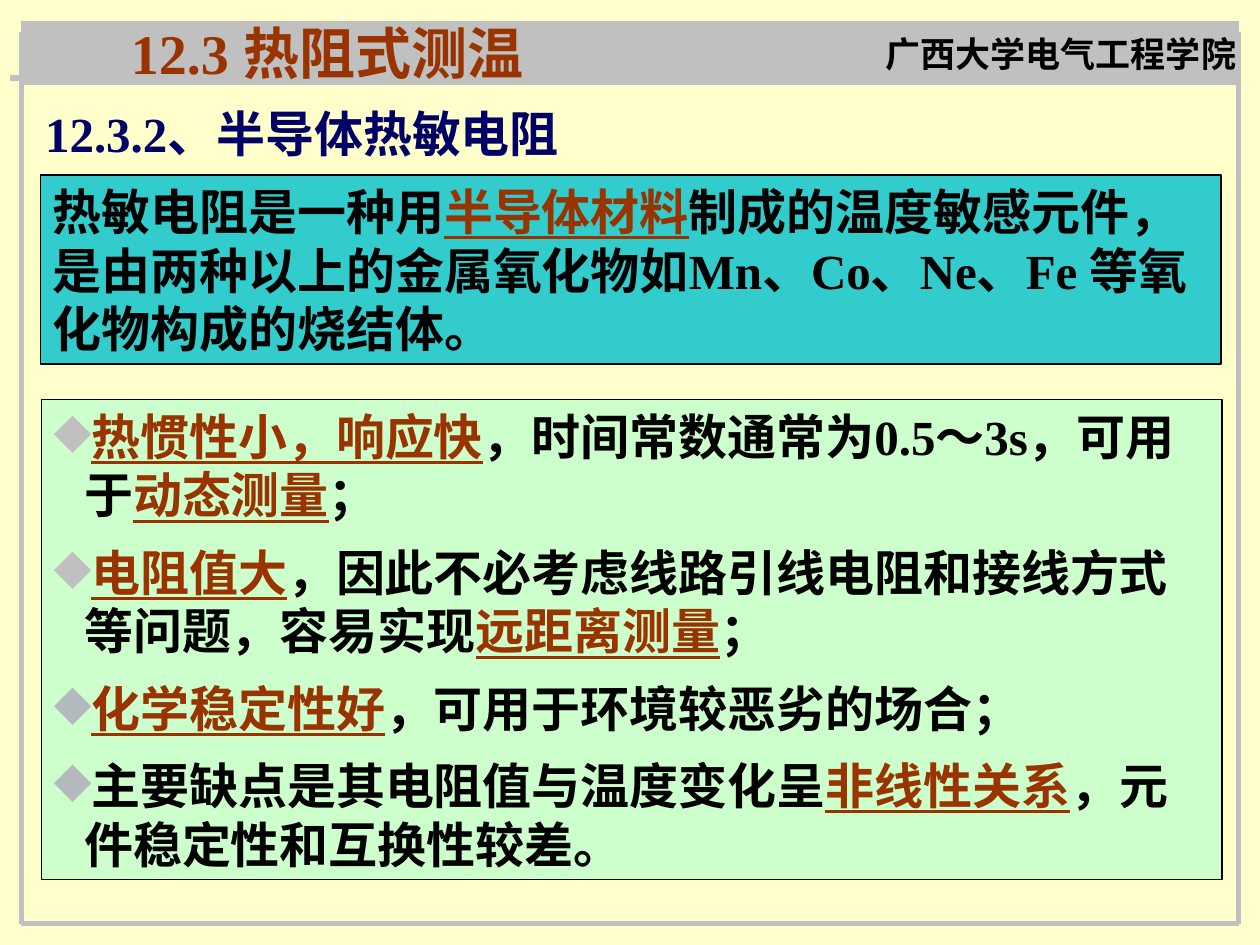
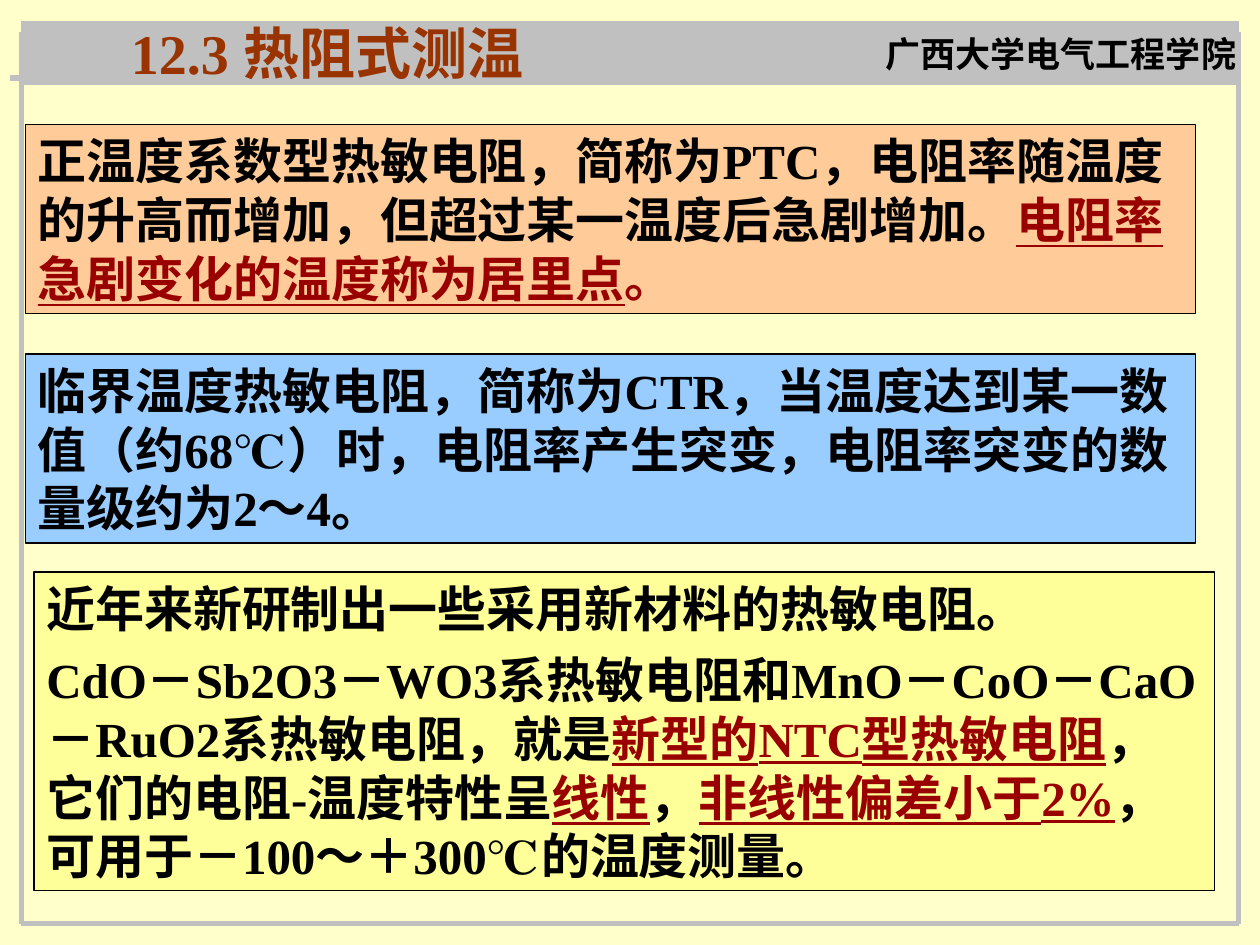
from collections import namedtuple
from dataclasses import dataclass

from pptx import Presentation
from pptx import util as u
from pptx.dml import color
from pptx.enum import shapes, text
from pptx.oxml import ns, xmlchemy

# Slide grid: 100 columns by 75 rows of square cells
COLUMNS, ROWS = 100, 75
CELL = u.Inches(0.1)

Box = namedtuple("Box", "left top width height")
PAGE = Box(0, 0, COLUMNS, ROWS)
FRAME = Box(1.7, 1.7, 96.6, 71.6)


@dataclass(frozen=True)
class Theme:
    font: str = "Times New Roman"
    paper: str = "FFFFCC"
    grey: str = "C0C0C0"
    cool_grey: str = "B4B9BE"
    ink: str = "000000"
    navy: str = "000066"
    rust: str = "993300"
    red: str = "990000"
    teal: str = "33CCCC"
    mint: str = "CCFFCC"
    peach: str = "FFCC99"
    sky: str = "99CCFF"
    lemon: str = "FFFF99"
    title_size: int = 32
    body_size: int = 28
    school_size: int = 20
    rule: float = 3
    outline: float = 0.75


THEME = Theme()

# Run styles: colour, size, underline
STYLES = {
    "body": (THEME.ink, THEME.body_size, False),
    "rust_key": (THEME.rust, THEME.body_size, True),
    "red_key": (THEME.red, THEME.body_size, True),
    "red": (THEME.red, THEME.body_size, False),
    "heading": (THEME.navy, THEME.body_size, False),
    "title": (THEME.rust, THEME.title_size, False),
    "school": (THEME.ink, THEME.school_size, False),
}


def rgb(value):
    return color.RGBColor.from_string(value)


def cells(*counts):
    return [u.Emu(round(count * CELL)) for count in counts]


def within(parent, left, top, width, height):
    """Box given in cells from the top left corner of its parent."""
    return Box(parent.left + left, parent.top + top, width, height)


def add_bullet(paragraph, bullet_colour):
    props = paragraph._p.get_or_add_pPr()
    hang = cells(2.4)[0]
    props.set("marL", str(hang))
    props.set("indent", str(-hang))
    tint = xmlchemy.OxmlElement("a:buClr")
    tint.append(xmlchemy.OxmlElement("a:srgbClr"))
    tint[0].set("val", bullet_colour)
    mark = xmlchemy.OxmlElement("a:buChar")
    mark.set("char", "◆")
    props.extend([tint, mark])


def write(frame, paragraphs, gap=0, bullets=(), wrap=True,
          anchor=text.MSO_ANCHOR.TOP):
    """Fill a text frame; each paragraph is a list of (wording, style)."""
    layout = {
        "word_wrap": wrap, "vertical_anchor": anchor,
        "auto_size": text.MSO_AUTO_SIZE.SHAPE_TO_FIT_TEXT,
    }
    for name, value in layout.items():
        setattr(frame, name, value)
    for index, runs in enumerate(paragraphs):
        paragraph = frame.add_paragraph() if index else frame.paragraphs[0]
        paragraph.alignment = text.PP_ALIGN.LEFT
        if index:
            paragraph.space_before = u.Pt(gap)
        if bullets:
            add_bullet(paragraph, bullets[index])
        for wording, style in runs:
            run = paragraph.add_run()
            run.text = wording
            tint, size, underline = STYLES[style]
            run.font.color.rgb = rgb(tint)
            look = {"name": THEME.font, "size": u.Pt(size),
                    "bold": True, "underline": underline}
            for name, value in look.items():
                setattr(run.font, name, value)


def add_label(slide, box, wording, style, wrap=True):
    label = slide.shapes.add_textbox(*cells(*box))
    write(label.text_frame, [[(wording, style)]], wrap=wrap)


def add_block(slide, box, fill, line=THEME.ink):
    block = slide.shapes.add_shape(shapes.MSO_SHAPE.RECTANGLE, *cells(*box))
    block.shadow.inherit = False
    block.fill.solid()
    block.fill.fore_color.rgb = rgb(fill)
    block.line.color.rgb = rgb(line)
    block.line.width = u.Pt(THEME.outline)
    return block


def add_panel(slide, box, fill, paragraphs, **options):
    write(add_block(slide, box, fill).text_frame, paragraphs, **options)


def add_rule(slide, x1, y1, x2, y2):
    rule = slide.shapes.add_connector(
        shapes.MSO_CONNECTOR.STRAIGHT, *cells(x1, y1, x2, y2))
    rule.line.color.rgb = rgb(THEME.grey)
    rule.line.width = u.Pt(THEME.rule)
    rule._element.find(ns.qn("p:spPr")).append(
        xmlchemy.OxmlElement("a:effectLst"))


def draw_frame(slide, box):
    """Header band and the rules around the slide."""
    right, bottom = box.left + box.width, box.top + box.height
    side_top, band_rule = box.top + 0.8, box.top + 4.5
    add_rule(slide, box.left - 0.9, band_rule, right - 0.8, band_rule)
    add_block(slide, within(box, 0, 0, box.width, 5), THEME.grey, THEME.grey)
    for side in (box.left, right):
        add_rule(slide, side, side_top, side, bottom)
    add_rule(slide, box.left, bottom, right, bottom)


def draw_header(slide, box):
    """Section title on the left, school name on the right."""
    add_label(slide, within(box, 69.3, 2.1, 30.7, 4.4),
              "广西大学电气工程学院", "school")
    add_label(slide, within(box, 9.4, 1, 34.2, 6.4),
              "12.3 热阻式测温", "title", wrap=False)


def draw_thermistor(slide, box):
    """Definition of the thermistor and its properties."""
    add_label(slide, within(box, 2.6, 7.7, 56.7, 5.7),
              "12.3.2、半导体热敏电阻", "heading")
    add_panel(slide, within(box, 3.2, 13.9, 93.7, 15), THEME.teal, [[
        ("热敏电阻是一种用", "body"),
        ("半导体材料", "rust_key"),
        ("制成的温度敏感元件，是由两种以上的金属氧化物如Mn、Co、Ne、"
         "Fe 等氧化物构成的烧结体。", "body"),
    ]])
    properties = [
        [("热惯性小，响应快", "rust_key"),
         ("，时间常数通常为0.5～3s，可用于", "body"),
         ("动态测量", "rust_key"), ("；", "body")],
        [("电阻值大", "rust_key"),
         ("，因此不必考虑线路引线电阻和接线方式等问题，容易实现", "body"),
         ("远距离测量", "rust_key"), ("；", "body")],
        [("化学稳定性好", "rust_key"),
         ("，可用于环境较恶劣的场合；", "body")],
        [("主要缺点是其电阻值与温度变化呈", "body"),
         ("非线性关系", "rust_key"),
         ("，元件稳定性和互换性较差。", "body")],
    ]
    add_panel(slide, within(box, 3.3, 31.7, 93.7, 38.1), THEME.mint,
              properties, gap=10.5, anchor=text.MSO_ANCHOR.MIDDLE,
              bullets=[THEME.grey] * 2 + [THEME.cool_grey] * 2)


def draw_types(slide, box):
    """PTC and CTR thermistors, then the new materials."""
    ptc = [
        ("正温度系数型热敏电阻，简称为PTC，电阻率随温度的升高而增加，"
         "但超过某一温度后急剧增加。", "body"),
        ("电阻率急剧变化的温度称为居里点", "red_key"), ("。", "red"),
    ]
    ctr = [("临界温度热敏电阻，简称为CTR，当温度达到某一数值（约68℃）时，"
            "电阻率产生突变，电阻率突变的数量级约为2～4。", "body")]
    for row, (fill, runs) in enumerate([(THEME.peach, ptc), (THEME.sky, ctr)]):
        add_panel(slide, within(box, 2, 9.9 + 18.2 * row, 92.9, 15),
                  fill, [runs])
    new_materials = [
        [("近年来新研制出一些采用新材料的热敏电阻。", "body")],
        [("CdO－Sb2O3－WO3系热敏电阻和MnO－CoO－CaO－RuO2系热敏电阻，就是",
          "body"),
         ("新型的NTC型热敏电阻", "red_key"),
         ("，它们的电阻-温度特性呈", "body"),
         ("线性", "red_key"), ("，", "body"),
         ("非线性偏差小于2%", "red_key"),
         ("，可用于－100～＋300℃的温度测量。", "body")],
    ]
    add_panel(slide, within(box, 2.7, 45.4, 93.7, 25.3), THEME.lemon,
              new_materials, gap=7)


def main():
    prs = Presentation()
    prs.slide_width, prs.slide_height = cells(COLUMNS, ROWS)
    blank = prs.slide_layouts[6]
    for draw_content in (draw_thermistor, draw_types):
        slide = prs.slides.add_slide(blank)
        slide.background.fill.solid()
        slide.background.fill.fore_color.rgb = rgb(THEME.paper)
        draw_frame(slide, FRAME)
        draw_header(slide, PAGE)
        draw_content(slide, PAGE)
    prs.save("out.pptx")


if __name__ == "__main__":
    main()
